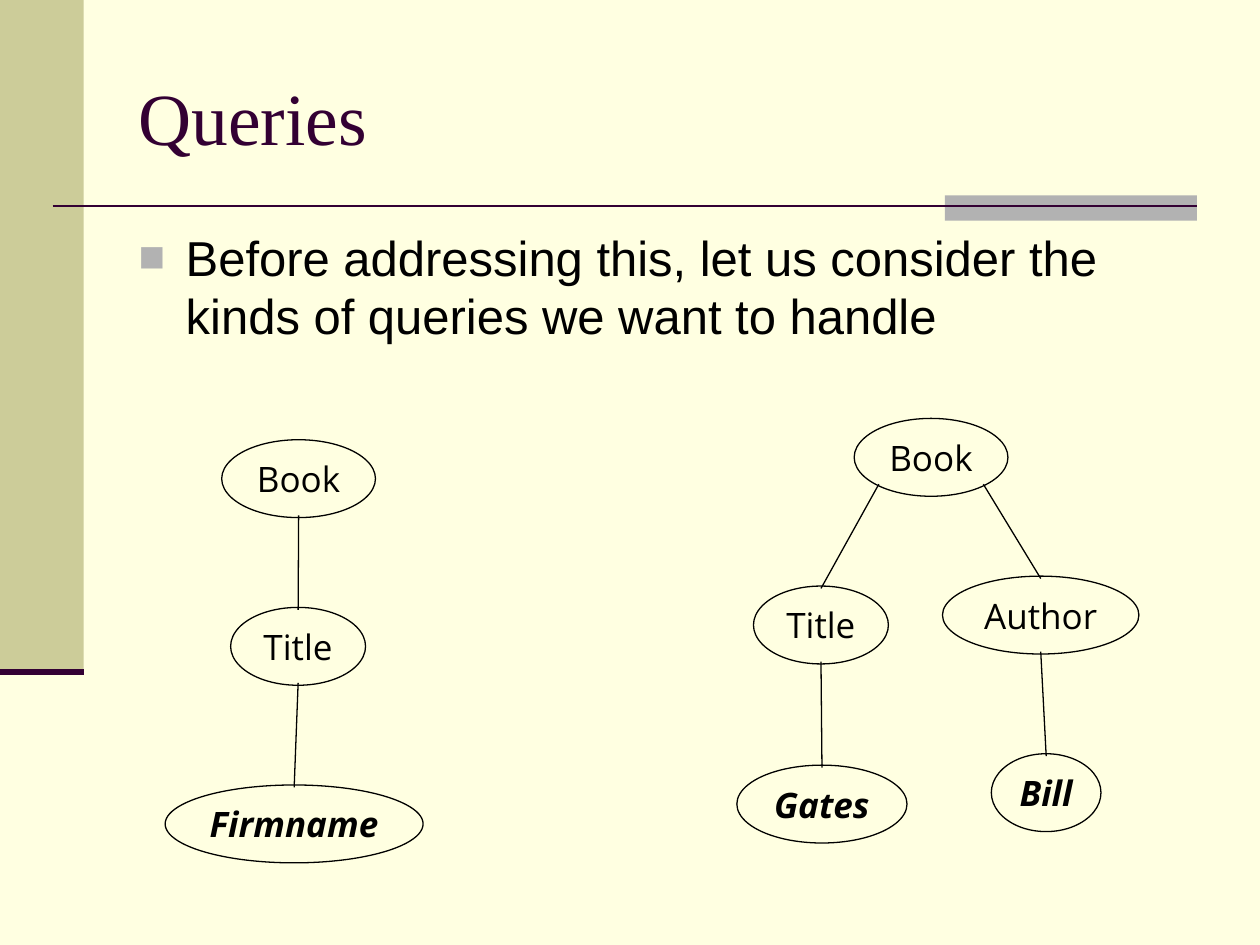
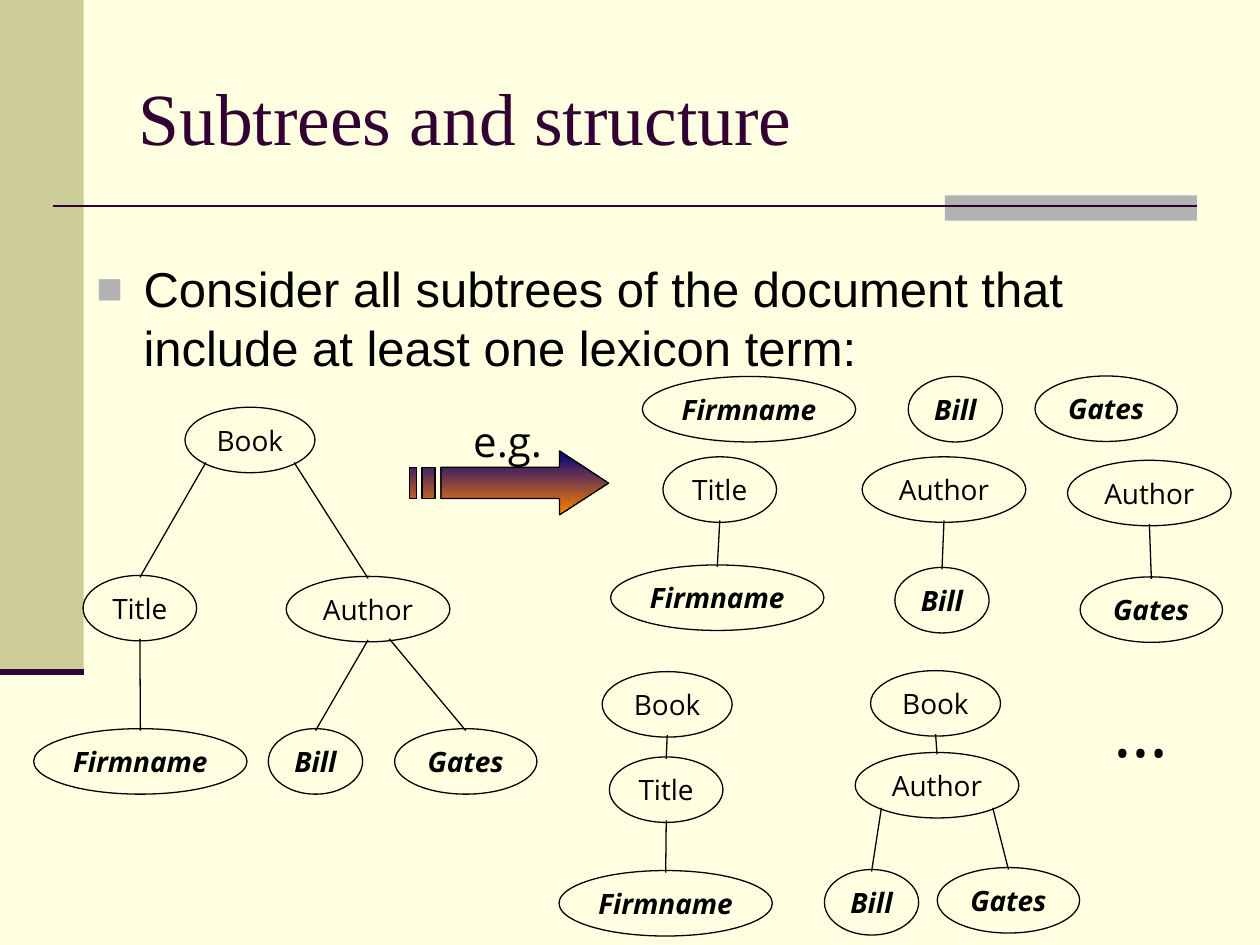
from dataclasses import dataclass
from math import sqrt

from lxml import etree
from pptx import Presentation
from pptx.dml.color import RGBColor
from pptx.enum import shapes, text
from pptx.oxml import ns
from pptx.util import Cm, Pt

PAPER, BAND, ACCENT, PLUM, INK = "FFFFE1", "CCCC99", "B2B2B2", "330033", "000000"
ARROW_TOP, ARROW_BOTTOM = "000082", "FF8200"
TITLE_FONT, BODY_FONT, TREE_FONT = "Times New Roman", "Arial", "Open Sans"

COMPANY = "Firmname"
LEXICON = {COMPANY, "Bill", "Gates"}
CORNER = 0.34  # share of an oval's width between its centre and a slanted branch
TOUCH = 0.94  # branches end slightly inside the ovals


@dataclass(frozen=True)
class NodeStyle:
    size: int
    height: float
    widths: dict[str, float]


@dataclass(frozen=True)
class Node:
    """A word at a centre in cm; leave is where its parent's branch starts."""
    word: str
    x: float
    y: float
    children: tuple["Node", ...] = ()
    leave: float = 0


LARGE = NodeStyle(20, 1.57, {"Book": 3.1, "Title": 2.72, "Author": 3.96,
                             COMPANY: 5.2, "Gates": 3.43, "Bill": 2.21})
SMALL = NodeStyle(16, 1.32, {"Book": 2.62, "Title": 2.29, "Author": 3.3,
                             COMPANY: 4.3, "Gates": 2.87, "Bill": 1.9})

QUERIES = (
    Node("Book", 6.02, 9.65, (
        Node("Title", 6.01, 13.03, (Node(COMPANY, 5.93, 16.61),)),)),
    Node("Book", 18.77, 9.22, (
        Node("Title", 16.55, 12.6, (Node("Gates", 16.57, 16.21),), -CORNER),
        Node("Author", 20.98, 12.4, (Node("Bill", 21.09, 15.98),), CORNER))),
)

DOCUMENT = Node("Book", 5.04, 8.87, (
    Node("Title", 2.82, 12.26, (Node(COMPANY, 2.83, 15.35),), -CORNER),
    Node("Author", 7.42, 12.28, (
        Node("Bill", 6.36, 15.35),
        Node("Gates", 9.39, 15.35, leave=0.13)), CORNER)))

SUBTREES = (
    Node(COMPANY, 15.1, 8.25),
    Node("Bill", 19.26, 8.25),
    Node("Gates", 22.3, 8.24),
    Node("Title", 14.51, 9.87, (Node(COMPANY, 14.46, 12.05),)),
    Node("Author", 19.03, 9.87, (Node("Bill", 18.99, 12.1),)),
    Node("Author", 23.17, 9.94, (Node("Gates", 23.21, 12.29),)),
    Node("Book", 13.45, 14.2, (
        Node("Title", 13.43, 15.92, (Node(COMPANY, 13.42, 18.21),)),)),
    Node("Book", 18.86, 14.18, (
        Node("Author", 18.89, 15.83, (
            Node("Bill", 17.57, 18.19, leave=-CORNER),
            Node("Gates", 20.33, 18.15, leave=CORNER))),)),
)

ARROW_PARTS = (
    ((8.89, 9.42), (11.28, 9.42), (11.28, 9.09), (12.27, 9.74),
     (11.28, 10.38), (11.28, 10.05), (8.89, 10.05)),
    ((8.26, 9.42), (8.39, 9.42), (8.39, 10.05), (8.26, 10.05)),
    ((8.51, 9.42), (8.77, 9.42), (8.77, 10.05), (8.51, 10.05)),
)


def rgb(color: str) -> RGBColor:
    return RGBColor.from_string(color)


def write(frame, words: str, *, size: int, font: str, color: str = INK,
          strong: bool = False, align=text.PP_ALIGN.LEFT,
          anchor=text.MSO_ANCHOR.TOP, wrap: bool = True):
    """Fill a text frame with one paragraph and return that paragraph."""
    frame.auto_size = text.MSO_AUTO_SIZE.NONE
    frame.word_wrap = wrap
    frame.vertical_anchor = anchor
    paragraph = frame.paragraphs[0]
    paragraph.alignment = align
    run = paragraph.add_run()
    run.text = words
    run.font.size = Pt(size)
    run.font.name = font
    run.font.color.rgb = rgb(color)
    run.font.bold = run.font.italic = strong
    return paragraph


def add_square_bullet(paragraph) -> None:
    properties = paragraph._p.get_or_add_pPr()
    properties.set("marL", str(Cm(0.95)))
    properties.set("indent", str(Cm(-0.95)))
    color = etree.SubElement(properties, ns.qn("a:buClr"))
    etree.SubElement(color, ns.qn("a:srgbClr"), val=ACCENT)
    etree.SubElement(properties, ns.qn("a:buSzPct"), val="90000")
    etree.SubElement(properties, ns.qn("a:buFont"), typeface=BODY_FONT)
    etree.SubElement(properties, ns.qn("a:buChar"), char="■")


def place(shape, left: float, top: float, width: float, height: float) -> None:
    shape.left, shape.top = Cm(left), Cm(top)
    shape.width, shape.height = Cm(width), Cm(height)


def add_bar(slide, left: float, top: float, width: float, height: float, color: str) -> None:
    bar = slide.shapes.add_shape(shapes.MSO_SHAPE.RECTANGLE,
                                 Cm(left), Cm(top), Cm(width), Cm(height))
    bar.shadow.inherit = False
    bar.fill.solid()
    bar.fill.fore_color.rgb = rgb(color)
    bar.line.fill.background()


def add_line(slide, start: tuple[float, float], end: tuple[float, float],
             color: str = INK, weight: float = 0.75) -> None:
    line = slide.shapes.add_connector(shapes.MSO_CONNECTOR.STRAIGHT,
                                      *map(Cm, start), *map(Cm, end))
    line.line.color.rgb = rgb(color)
    line.line.width = Pt(weight)
    etree.SubElement(line._element.spPr, ns.qn("a:effectLst"))


def add_themed_slide(deck, heading: str, point: str,
                     point_box: tuple[float, float, float, float]):
    slide = deck.slides.add_slide(deck.slide_layouts[1])
    add_bar(slide, 0, 0, 1.69, 13.55, BAND)
    add_bar(slide, 19.05, 3.94, 5.08, 0.51, ACCENT)
    add_line(slide, (1.06, 4.15), (24.13, 4.15), PLUM, 1.5)
    add_line(slide, (0, 13.55), (1.69, 13.55), PLUM, 3.5)

    title, body = slide.placeholders
    place(title, 2.54, 0.76, 21.59, 3.18)
    write(title.text_frame, heading, size=42, font=TITLE_FONT, color=PLUM,
          anchor=text.MSO_ANCHOR.MIDDLE)
    place(body, *point_box)
    paragraph = write(body.text_frame, point, size=28, font=BODY_FONT)
    paragraph.space_before = Pt(7)
    add_square_bullet(paragraph)
    return slide


def add_tree(slide, node: Node, style: NodeStyle) -> None:
    """Draw a node, then its branches and subtrees."""
    width, height = style.widths[node.word], style.height
    oval = slide.shapes.add_shape(
        shapes.MSO_SHAPE.OVAL, Cm(node.x - width / 2), Cm(node.y - height / 2),
        Cm(width), Cm(height))
    oval.shadow.inherit = False
    oval.fill.background()
    oval.line.color.rgb = rgb(INK)
    oval.line.width = Pt(0.75)
    write(oval.text_frame, node.word, size=style.size, font=TREE_FONT,
          strong=node.word in LEXICON, align=text.PP_ALIGN.CENTER,
          anchor=text.MSO_ANCHOR.MIDDLE, wrap=False)
    for child in node.children:
        drop = TOUCH * height * sqrt(0.25 - child.leave ** 2)
        add_line(slide, (node.x + child.leave * width, node.y + drop),
                 (child.x, child.y - TOUCH * height / 2))
        add_tree(slide, child, style)


def add_striped_arrow(slide) -> None:
    first, *stripes = [[(Cm(x), Cm(y)) for x, y in part] for part in ARROW_PARTS]
    outline = slide.shapes.build_freeform(*first[0])
    outline.add_line_segments(first[1:])
    for stripe in stripes:
        outline.move_to(*stripe[0])
        outline.add_line_segments(stripe[1:])
    arrow = outline.convert_to_shape()
    arrow.shadow.inherit = False
    arrow.fill.gradient()
    arrow.fill.gradient_angle = 270
    for stop, color in zip(arrow.fill.gradient_stops, (ARROW_TOP, ARROW_BOTTOM)):
        stop.color.rgb = rgb(color)
    arrow.line.color.rgb = rgb(INK)
    arrow.line.width = Pt(0.75)


def add_label(slide, words: str, box: tuple[float, float, float, float], size: int) -> None:
    label = slide.shapes.add_textbox(*map(Cm, box))
    write(label.text_frame, words, size=size, font=TREE_FONT,
          align=text.PP_ALIGN.RIGHT, wrap=False)


def main() -> None:
    deck = Presentation()
    deck.slide_width, deck.slide_height = Cm(25.4), Cm(19.05)
    paper = deck.slide_master.background.fill
    paper.solid()
    paper.fore_color.rgb = rgb(PAPER)

    queries = add_themed_slide(
        deck, "Queries",
        "Before addressing this, let us consider the kinds of queries we want to handle",
        (2.54, 4.45, 21.59, 12.57))
    for query in QUERIES:
        add_tree(queries, query, LARGE)

    subtrees = add_themed_slide(
        deck, "Subtrees and structure",
        "Consider all subtrees of the document that include at least one lexicon term:",
        (1.69, 5.08, 21.59, 13.55))
    for tree in (DOCUMENT, *SUBTREES):
        add_tree(subtrees, tree, SMALL)
    add_striped_arrow(subtrees)
    add_label(subtrees, "e.g.", (9.22, 8.26, 1.96, 1.27), 24)
    add_label(subtrees, "…", (22.17, 13.74, 1.63, 1.96), 40)

    deck.save("out.pptx")


if __name__ == "__main__":
    main()
